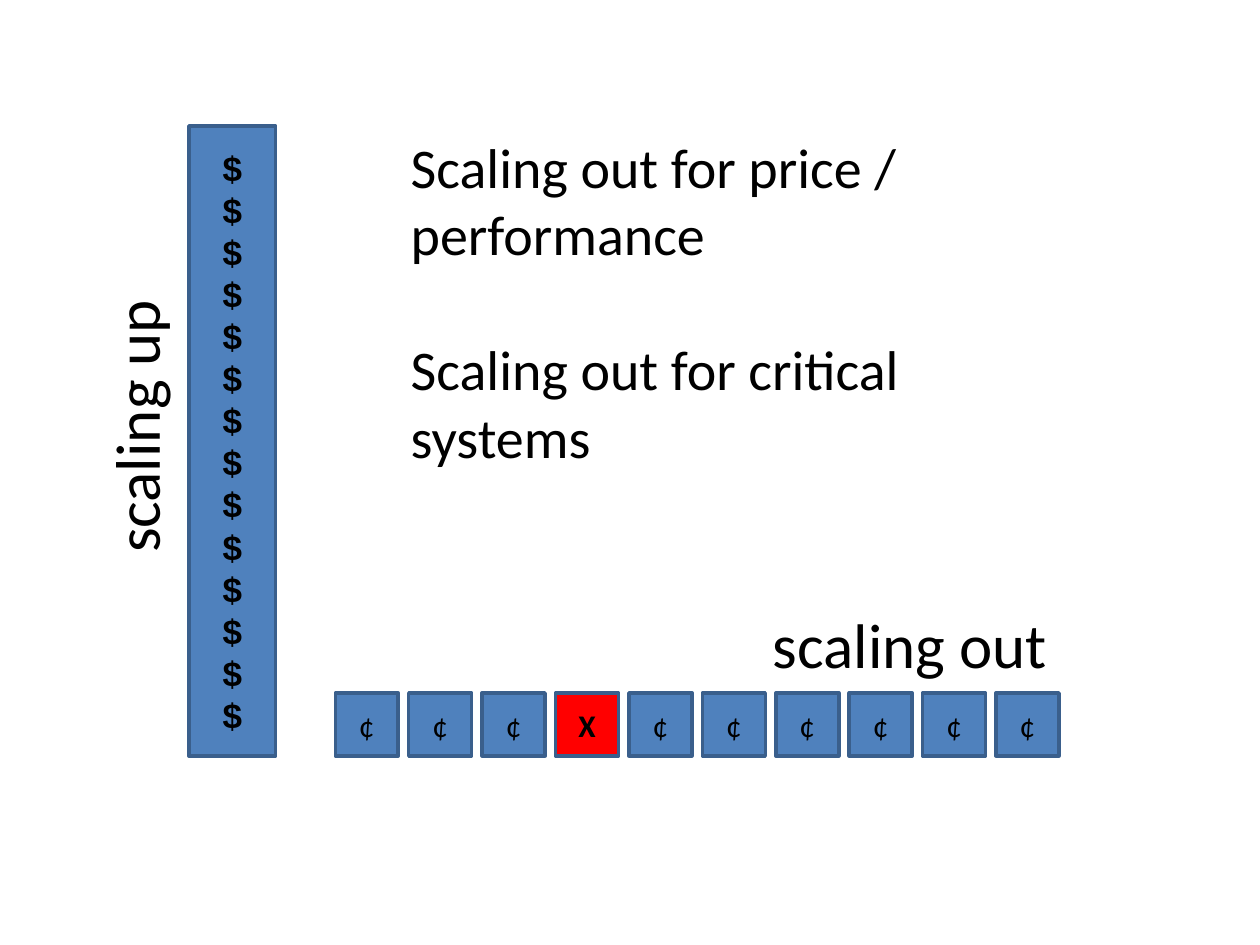
import pptx
import pptx.dml.color
import pptx.enum.shapes
import pptx.enum.text
import pptx.util

Cm = pptx.util.Cm
Pt = pptx.util.Pt
ALIGN = pptx.enum.text.PP_ALIGN


def color(value):
    return pptx.dml.color.RGBColor.from_string(value)


def add_lines(shape, lines, size, font="Calibri", bold=False, align=ALIGN.LEFT):
    frame = shape.text_frame
    frame.word_wrap = True
    for index, line in enumerate(lines):
        paragraph = frame.add_paragraph() if index else frame.paragraphs[0]
        paragraph.alignment = align
        run = paragraph.add_run()
        run.text = line
        run.font.name = font
        run.font.size = Pt(size)
        run.font.bold = bold
        run.font.color.rgb = color("000000")
    return frame.paragraphs


presentation = pptx.Presentation()
presentation.slide_width = Cm(25.4)
presentation.slide_height = Cm(19.05)
slide = presentation.slides.add_slide(presentation.slide_layouts[6])

node_side = 1.27
node_step = 1.48
boxes = [(3.81, 2.54, 1.75, 12.7, "4F81BD", ["$"] * 14, 20, "Courier New", True)]
for index, mark in enumerate("¢¢¢X¢¢¢¢¢¢"):
    failed = mark == "X"
    fill = "FF0000" if failed else "4F81BD"
    left = 6.76 + index * node_step
    boxes.append((left, 13.97, node_side, node_side, fill, [mark], 18, "Calibri", failed))

for left, top, width, height, fill, lines, size, font, bold in boxes:
    shape = slide.shapes.add_shape(
        pptx.enum.shapes.MSO_SHAPE.RECTANGLE, Cm(left), Cm(top), Cm(width), Cm(height)
    )
    shape.shadow.inherit = False
    shape.fill.solid()
    shape.fill.fore_color.rgb = color(fill)
    shape.line.color.rgb = color("3A5F8C")
    shape.line.width = Pt(2)
    shape.text_frame.vertical_anchor = pptx.enum.text.MSO_ANCHOR.MIDDLE
    paragraphs = add_lines(shape, lines, size, font, bold, ALIGN.CENTER)
    if len(lines) > 1:
        for paragraph in paragraphs:
            paragraph.line_spacing = Pt(24)

for text, left, top, width, rotation, align in [
    ("scaling out", 10.03, 12.09, 11.33, 0, ALIGN.RIGHT),
    ("scaling up", -1.32, 8.33, 8.1, 270, ALIGN.CENTER),
]:
    label = slide.shapes.add_textbox(Cm(left), Cm(top), Cm(width), Cm(1.8))
    label.rotation = rotation
    paragraph = add_lines(label, [text], 36, align=align)[0]
    paragraph.level = 1
    paragraph._p.get_or_add_pPr().set("marL", str(Cm(1.27)))

reasons = slide.shapes.add_textbox(Cm(8.03), Cm(2.54), Cm(13.33), Cm(7.09))
paragraphs = add_lines(
    reasons,
    ["Scaling out for price / performance", "Scaling out for critical systems"],
    32,
)
paragraphs[1].space_before = Pt(39)

presentation.save("out.pptx")
